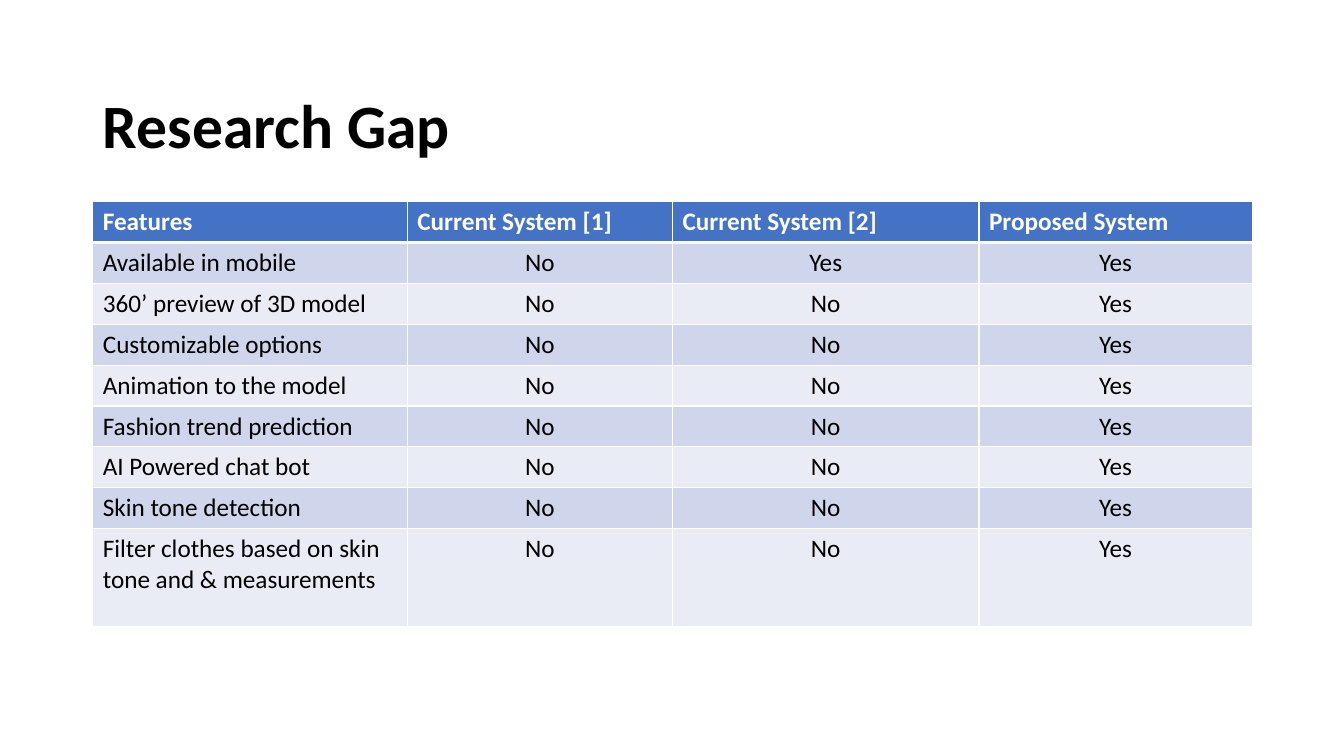
from lxml import etree
from pptx import Presentation
from pptx.dml.color import RGBColor
from pptx.enum.text import MSO_ANCHOR, PP_ALIGN
from pptx.oxml.ns import qn
from pptx.util import Inches, Pt

TOP = MSO_ANCHOR.TOP
LEFT, CENTER = PP_ALIGN.LEFT, PP_ALIGN.CENTER
BLACK = RGBColor(0x00, 0x00, 0x00)
WHITE = RGBColor(0xFF, 0xFF, 0xFF)
BLUE = RGBColor(0x44, 0x72, 0xC4)
BAND_DARK = RGBColor(0xCF, 0xD5, 0xEA)
BAND_LIGHT = RGBColor(0xE9, 0xEB, 0xF5)

HEADINGS = ["Features", "Current System [1]", "Current System [2]", "Proposed System"]
FEATURES = [
    ("Available in mobile", "No", "Yes", "Yes"),
    ("360’ preview of 3D model", "No", "No", "Yes"),
    ("Customizable options", "No", "No", "Yes"),
    ("Animation to the model", "No", "No", "Yes"),
    ("Fashion trend prediction", "No", "No", "Yes"),
    ("AI Powered chat bot", "No", "No", "Yes"),
    ("Skin tone detection", "No", "No", "Yes"),
    ("Filter clothes based on skin tone and & measurements", "No", "No", "Yes"),
]
COLUMN_WIDTHS = [3.12, 2.63, 3.04, 2.71]
ROW_HEIGHTS = [0.4] * len(FEATURES) + [0.97]


class SlideBuilder:
    font_name = "Calibri"

    def __init__(self, deck):
        self.page = deck.slides.add_slide(deck.slide_layouts[5])

    def text(self, frame, text, align=LEFT, spacing=1.0, **format_values):
        para = frame.paragraphs[0]
        para.alignment = align
        para.line_spacing = spacing
        span = para.add_run()
        span.text = text
        span.font.color.rgb = format_values.pop("color")
        for name, value in {"name": self.font_name, **format_values}.items():
            setattr(span.font, name, value)

    def title(self, text, left, top, width, height):
        box = self.page.shapes.title
        place = {"left": left, "top": top, "width": width, "height": height}
        for name, value in place.items():
            setattr(box, name, Inches(value))
        box.text_frame.word_wrap = True
        box.text_frame.vertical_anchor = TOP
        self.text(box.text_frame, text, spacing=0.9, size=Pt(44), bold=True, color=BLACK)

    def border(self, cell, bottom_width):
        properties = cell._tc.get_or_add_tcPr()
        widths = {"a:lnL": 1, "a:lnR": 1, "a:lnT": 1, "a:lnB": bottom_width}
        for side, width in widths.items():
            line = etree.SubElement(properties, qn(side), w=str(Pt(width)))
            fill = etree.SubElement(line, qn("a:solidFill"))
            etree.SubElement(fill, qn("a:srgbClr"), val=str(WHITE))

    def cell(self, cell, text, fill, bottom_width=1, **style):
        self.border(cell, bottom_width)
        cell.fill.solid()
        cell.fill.fore_color.rgb = fill
        self.text(cell.text_frame, text, size=Pt(18), **style)

    def table(self, left, top, headings, records, widths, heights):
        grid = self.page.shapes.add_table(
            len(heights), len(widths), Inches(left), Inches(top),
            Inches(sum(widths)), Inches(sum(heights))).table
        for column, width in zip(grid.columns, widths):
            column.width = Inches(width)
        for row, height in zip(grid.rows, heights):
            row.height = Inches(height)
        for column, heading in enumerate(headings):
            self.cell(grid.cell(0, column), heading, BLUE, 3, bold=True, color=WHITE)
        for row, record in enumerate(records, 1):
            band = BAND_DARK if row % 2 else BAND_LIGHT
            for column, text in enumerate(record):
                align = CENTER if column else LEFT
                self.cell(grid.cell(row, column), text, band,
                          align=align, bold=False, color=BLACK)


def main():
    deck = Presentation()
    deck.slide_width, deck.slide_height = Inches(13.33), Inches(7.5)
    builder = SlideBuilder(deck)
    builder.title("Research Gap", 0.92, 0.9, 11.5, 1.45)
    builder.table(0.92, 2, HEADINGS, FEATURES, COLUMN_WIDTHS, ROW_HEIGHTS)
    deck.save("out.pptx")


if __name__ == "__main__":
    main()
